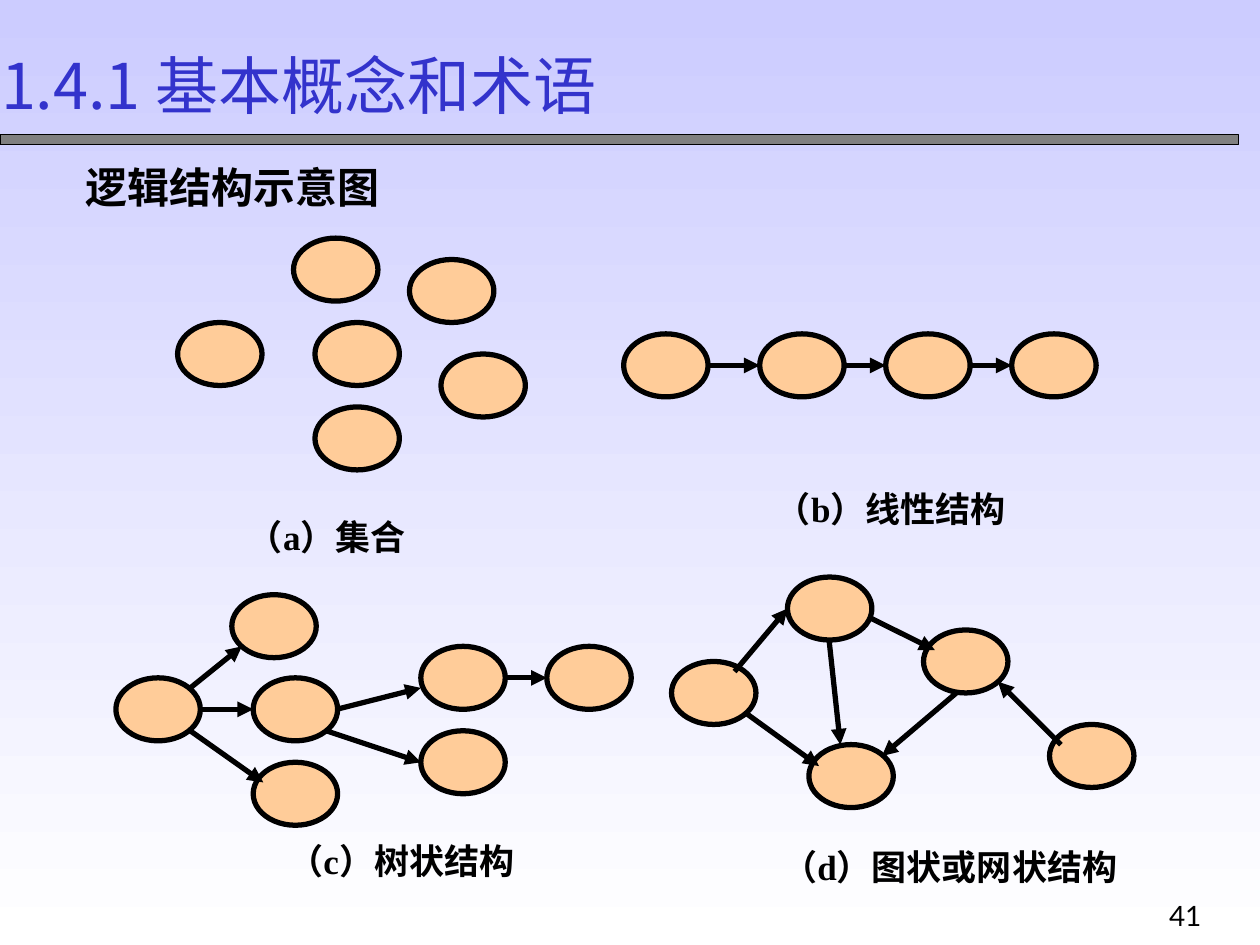
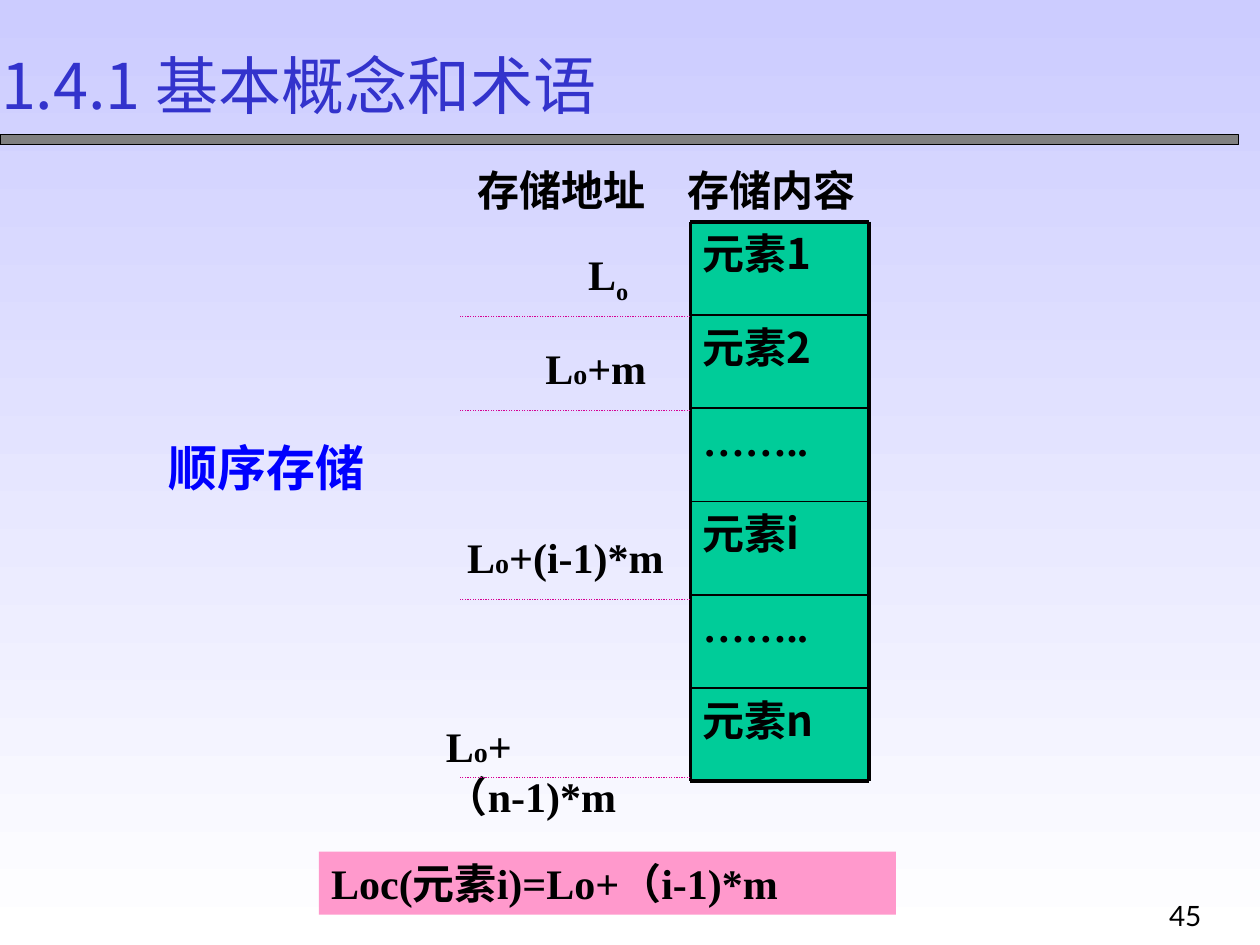
import pptx
import pptx.util
import pptx.dml.color
import pptx.enum.dml
import pptx.enum.shapes
import pptx.enum.text
import pptx.oxml
import pptx.oxml.ns

PX = 9144
HUES = {
    "sky": "CCCCFF", "white": "FFFFFF", "title": "3333CC", "bar": "808080",
    "ink": "000000", "node": "FFCC99", "cell": "00CC99", "dots": "D60093",
    "blue": "0000FF", "pink": "FF99CC",
}
RGB = {name: pptx.dml.color.RGBColor.from_string(code) for name, code in HUES.items()}
SANS = "Noto Sans CJK SC"
SERIF = "Times New Roman"
KIND = pptx.enum.shapes.MSO_SHAPE


def text(slide, box, runs, size=24, font=SERIF, hue="ink", bold=True, wrap=True, fill=None):
    area = [n * PX for n in box]
    if fill:
        shape = slide.shapes.add_shape(KIND.RECTANGLE, *area)
        shape.shadow.inherit = False
        shape.fill.solid()
        shape.fill.fore_color.rgb = RGB[fill]
        shape.line.fill.background()
    else:
        shape = slide.shapes.add_textbox(*area)
    frame = shape.text_frame
    frame.word_wrap = wrap
    frame.vertical_anchor = pptx.enum.text.MSO_ANCHOR.TOP
    if not fill:
        frame.auto_size = pptx.enum.text.MSO_AUTO_SIZE.SHAPE_TO_FIT_TEXT
    para = frame.paragraphs[0]
    para.alignment = pptx.enum.text.PP_ALIGN.LEFT
    for part in [runs] if isinstance(runs, str) else runs:
        words, pts, base = part if isinstance(part, tuple) else (part, size, 0)
        run = para.add_run()
        run.text = words
        run.font.size = pptx.util.Pt(pts)
        run.font.bold = bold
        run.font.name = font
        run.font.color.rgb = RGB[hue]
        props = run.font._element
        if base:
            props.set("baseline", str(base))
        east = pptx.oxml.parse_xml(
            f'<a:ea {pptx.oxml.ns.nsdecls("a")} typeface="{SANS}"/>')
        props.find(pptx.oxml.ns.qn("a:latin")).addnext(east)


def line(slide, ends, width, hue="ink", dots=False, arrow=False):
    rule = slide.shapes.add_connector(
        pptx.enum.shapes.MSO_CONNECTOR.STRAIGHT, *[n * PX for n in ends])
    rule.line.width = pptx.util.Pt(width)
    rule.line.color.rgb = RGB[hue]
    if dots:
        rule.line.dash_style = pptx.enum.dml.MSO_LINE.ROUND_DOT
    props = rule._element.spPr
    if arrow:
        tip = pptx.oxml.parse_xml(
            f'<a:tailEnd {pptx.oxml.ns.nsdecls("a")} type="triangle"/>')
        props.find(pptx.oxml.ns.qn("a:ln")).append(tip)
    props.append(pptx.oxml.parse_xml(f'<a:effectLst {pptx.oxml.ns.nsdecls("a")}/>'))


deck = pptx.Presentation()
deck.slide_width = 1000 * PX
deck.slide_height = 750 * PX

pages = []
for number in ("41", "45"):
    page = deck.slides.add_slide(deck.slide_layouts[6])
    back = page.background.fill
    back.gradient()
    back.gradient_angle = 270
    for stop, hue in zip(back.gradient_stops, ("sky", "white")):
        stop.color.rgb = RGB[hue]
    bar = page.shapes.add_shape(KIND.RECTANGLE, 0, 107 * PX, 983 * PX, 8 * PX)
    bar.shadow.inherit = False
    bar.fill.solid()
    bar.fill.fore_color.rgb = RGB["bar"]
    bar.line.color.rgb = RGB["ink"]
    bar.line.width = pptx.util.Pt(0.75)
    text(page, (-9, 32, 562, 70), "1.4.1 基本概念和术语",
         size=36, font=SANS, hue="title", bold=False, wrap=False)
    text(page, (918, 708, 126, 42), number, size=16, font="Lato", bold=False, wrap=False)
    pages.append(page)
logic, store = pages

text(logic, (58, 123, 253, 50), "逻辑结构示意图", wrap=False)

graphs = [
    ("（a）集合", (187, 404, 170, 44),
     [(141, 256), (250, 256), (325, 206), (233, 189), (250, 323), (350, 281)],
     []),
    ("（b）线性结构", (606, 382, 225, 44),
     [(495, 265), (603, 265), (703, 265), (803, 265)],
     [(562, 290, 603, 290), (670, 290, 703, 290), (770, 290, 803, 290)]),
    ("（c）树状结构", (219, 661, 225, 44),
     [(92, 538), (201, 538), (334, 513), (434, 513), (184, 472), (201, 605), (334, 580)],
     [(159, 563, 201, 563), (267, 563, 334, 546), (401, 538, 434, 538),
      (151, 546, 192, 513), (151, 580, 209, 621), (259, 580, 334, 605)]),
    ("（d）图状或网状结构", (611, 666, 310, 44),
     [(533, 525), (733, 500), (625, 458), (642, 591), (833, 575)],
     [(592, 566, 650, 608), (583, 533, 625, 483), (692, 491, 742, 516),
      (759, 550, 700, 600), (842, 591, 792, 541), (658, 508, 667, 591)]),
]
for label, box, nodes, links in graphs:
    for left, top in nodes:
        node = logic.shapes.add_shape(KIND.OVAL, left * PX, top * PX, 67 * PX, 50 * PX)
        node.shadow.inherit = False
        node.fill.solid()
        node.fill.fore_color.rgb = RGB["node"]
        node.line.color.rgb = RGB["ink"]
        node.line.width = pptx.util.Pt(3)
    for ends in links:
        line(logic, ends, 3, arrow=True)
    text(logic, box, label, size=20)

LEFT, TOP, WIDE, STEP = 548, 176, 142, 74
RIGHT = LEFT + WIDE
cells = ["元素1", "元素2", "……..", "元素i", "……..", "元素n"]
BASE = TOP + STEP * len(cells)
for row, words in enumerate(cells):
    font = SANS if words.startswith("元素") else SERIF
    text(store, (LEFT, TOP + row * STEP, WIDE, STEP), words, font=font, fill="cell")
for row in range(len(cells) + 1):
    y = TOP + row * STEP
    line(store, (LEFT, y, RIGHT, y), 2.25 if y in (TOP, BASE) else 1)
for x in (LEFT, RIGHT):
    line(store, (x, TOP, x, BASE), 2.25)

small = ("o", 16, 0)
spots = [
    ((457, 192, 83, 56), ["L", ("o", 24, -25000)], 251),
    ((423, 267, 117, 50), ["L", small, "+m"], 326),
    ((361, 417, 213, 50), ["L", small, "+(i-1)*m"], 476),
    ((344, 567, 204, 90), ["L", small, "+（n-1)*m"], 617),
]
for box, runs, y in spots:
    text(store, box, runs)
    line(store, (LEFT, y, 365, y), 0.75, hue="dots", dots=True)

text(store, (369, 126, 171, 50), "存储地址")
text(store, (536, 126, 158, 50), "存储内容")
text(store, (253, 676, 458, 50), "Loc(元素i)=Lo+（i-1)*m", fill="pink")
text(store, (124, 342, 175, 57), "顺序存储", size=28, hue="blue", wrap=False)

deck.save("out.pptx")
